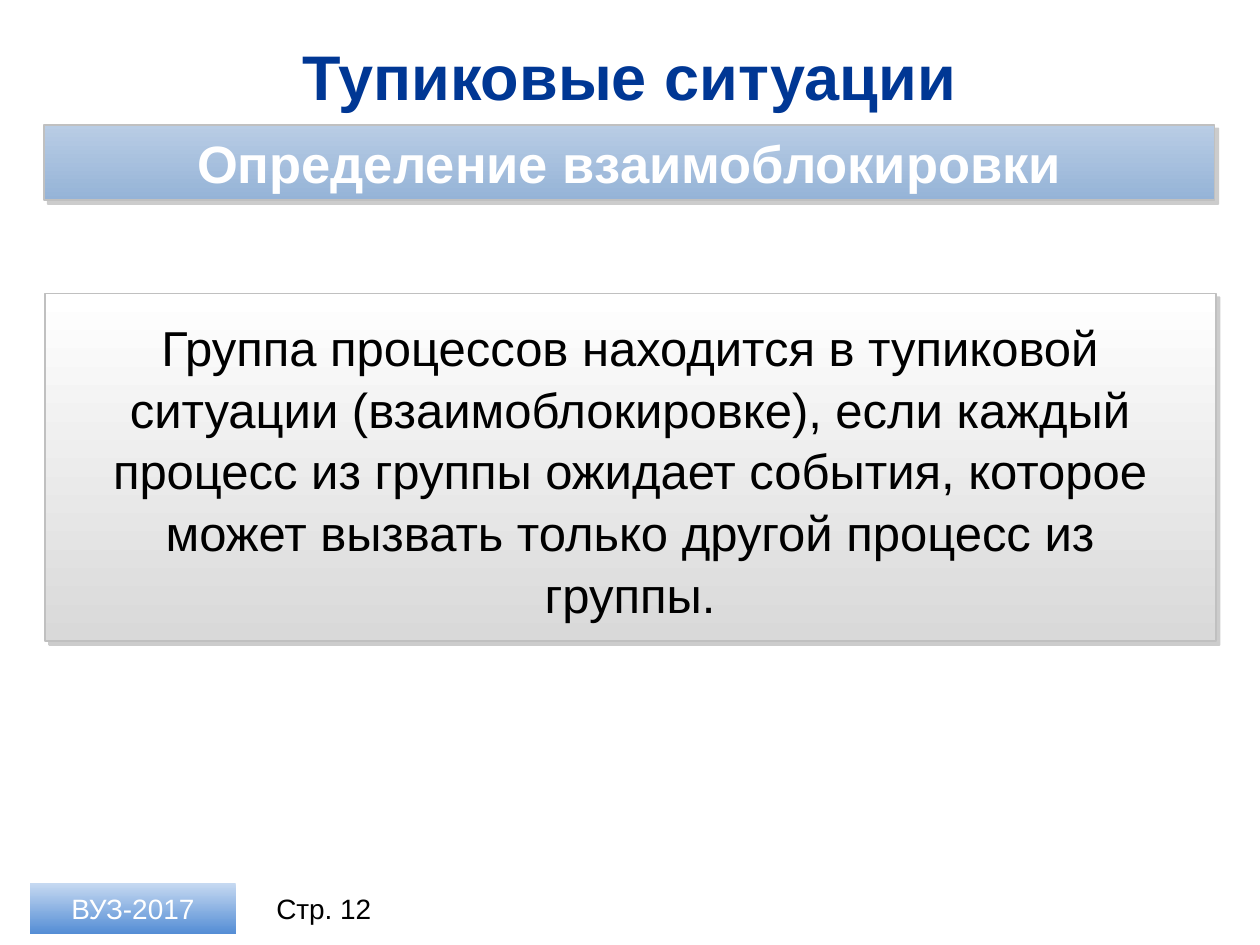
from dataclasses import dataclass
from typing import Optional

from lxml.etree import SubElement
from pptx import Presentation
from pptx.dml.color import RGBColor
from pptx.enum.shapes import MSO_SHAPE
from pptx.enum.text import MSO_ANCHOR, PP_ALIGN
from pptx.oxml.ns import qn
from pptx.util import Inches, Pt

COLORS = {
    "navy": "003794", "white": "FFFFFF", "black": "000000",
    "edge": "C0C0C0", "shade": "808080", "gray": "D9D9D9",
    "pale": "B9CDE5", "steel": "95B3D7", "sky": "C6D9F1", "blue": "558ED5",
}


@dataclass
class Block:
    """A text box, or a gradient panel when fill is given."""
    left: float
    top: float
    width: float
    height: float
    text: str = ""
    size: int = 16
    color: str = "black"
    bold: bool = False
    space: float = 1.0
    fill: Optional[tuple[str, str]] = None
    framed: bool = False


BLOCKS = [
    Block(0.35, 0.26, 9.29, 0.68, "Тупиковые ситуации", 36, "navy", True),
    Block(2.03, 7.01, 1.08, 0.4, "Стр. 12"),
    Block(0.24, 7.01, 1.63, 0.4, "ВУЗ-2017", color="white", fill=("sky", "blue")),
    Block(0.36, 2.33, 9.29, 2.76, fill=("white", "gray"), framed=True),
    Block(0.35, 0.99, 9.29, 0.6, "Определение взаимоблокировки", 30, "white", True,
          fill=("pale", "steel"), framed=True),
    Block(0.51, 2.49, 8.98, 2.46,
          "Группа процессов находится в тупиковой ситуации (взаимоблокировке), "
          "если каждый процесс из группы ожидает события, которое может вызвать "
          "только другой процесс из группы.", 28, space=1.05),
]


def tone(name: str) -> RGBColor:
    """Return the named colour."""
    return RGBColor.from_string(COLORS[name])


def cast(shape) -> None:
    """Give the shape a hard shadow to the lower right."""
    effects = shape._element.spPr.find(qn("a:effectLst"))
    outer = SubElement(effects, qn("a:outerShdw"), dist=str(Pt(3)),
                       dir=str(45 * 60000), algn="ctr", rotWithShape="0")
    color = SubElement(outer, qn("a:srgbClr"), val=COLORS["shade"])
    SubElement(color, qn("a:alpha"), val="40000")


def paint(shape, block: Block) -> None:
    """Fill the panel from top to bottom and frame it if asked."""
    shape.shadow.inherit = False
    shape.fill.gradient()
    shape.fill.gradient_angle = 270
    for stop, name in zip(shape.fill.gradient_stops, block.fill):
        stop.color.rgb = tone(name)
    if block.framed:
        shape.line.color.rgb = tone("edge")
        shape.line.width = Pt(1)
        cast(shape)
    else:
        shape.line.fill.background()


def write(shape, block: Block) -> None:
    """Set the centred text of the block."""
    frame = shape.text_frame
    frame.word_wrap = True
    frame.vertical_anchor = MSO_ANCHOR.MIDDLE
    frame.margin_top = frame.margin_bottom = Inches(0.04)
    frame.text = block.text
    line = frame.paragraphs[0]
    line.alignment = PP_ALIGN.CENTER
    line.line_spacing = block.space
    font = line.runs[0].font
    font.name, font.size, font.bold = "Arial", Pt(block.size), block.bold
    font.color.rgb = tone(block.color)


def draw(slide, block: Block) -> None:
    """Add the block to the slide."""
    box = [Inches(n) for n in (block.left, block.top, block.width, block.height)]
    if block.fill:
        shape = slide.shapes.add_shape(MSO_SHAPE.RECTANGLE, *box)
        paint(shape, block)
    else:
        shape = slide.shapes.add_textbox(*box)
    if block.text:
        write(shape, block)


def main() -> None:
    """Build the slide and save it."""
    deck = Presentation()
    deck.slide_width, deck.slide_height = Inches(10), Inches(7.5)
    slide = deck.slides.add_slide(deck.slide_layouts[6])
    for block in BLOCKS:
        draw(slide, block)
    deck.save("out.pptx")


if __name__ == "__main__":
    main()
